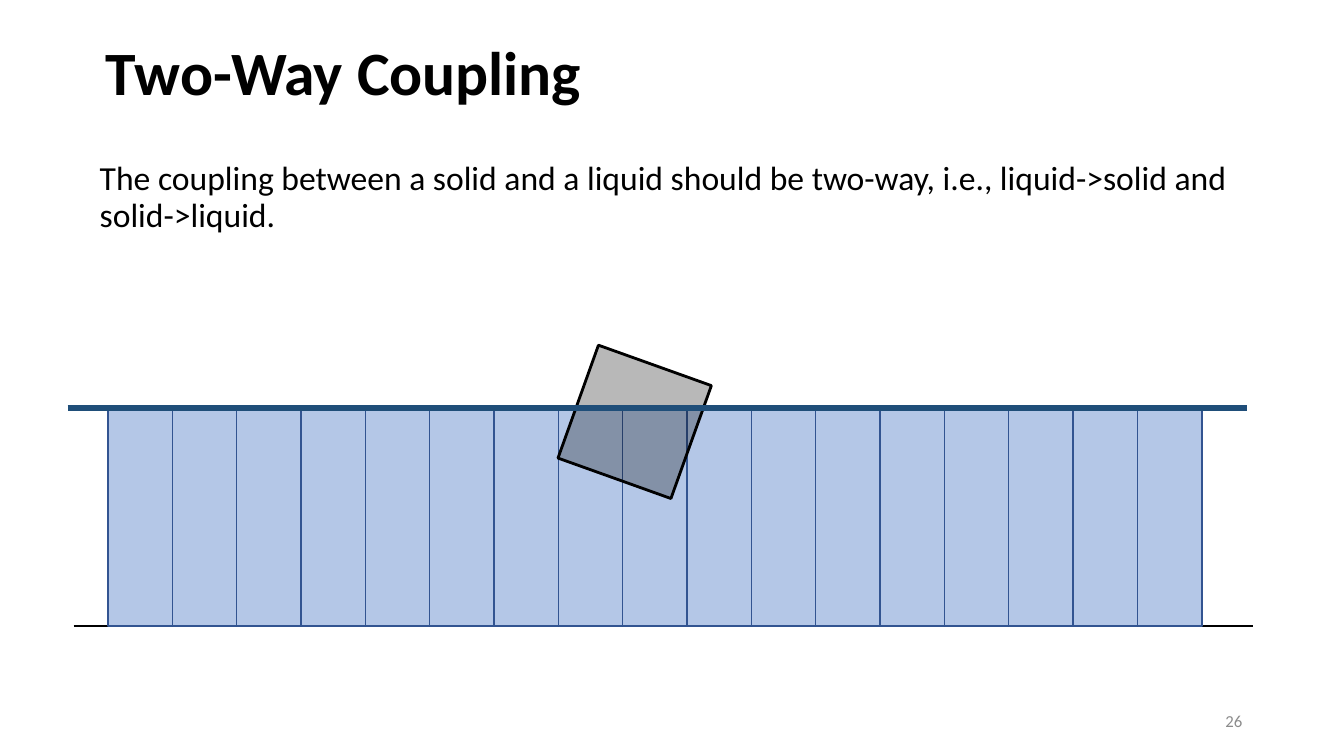
"""Build the slide on two-way coupling between a solid and a liquid."""
from lxml.etree import SubElement
from pptx import Presentation
from pptx.dml.color import RGBColor
from pptx.enum.shapes import MSO_CONNECTOR as Connector, MSO_SHAPE as Shape
from pptx.enum.text import MSO_ANCHOR as Anchor, PP_ALIGN as Align
from pptx.oxml.ns import qn
from pptx.util import Inches, Pt

TITLE = "Two-Way Coupling"
BODY = ("The coupling between a solid and a liquid should be two-way, "
        "i.e., liquid->solid and solid->liquid.")
PAGE_NUMBER = "26"
FONT = "Calibri"
COLORS = {"text": "000000", "number": "8C8C8C", "ground": "000000",
          "water": "B4C7E7", "water_edge": "325491", "surface": "1F4E79",
          "solid": "0D0D0D", "solid_edge": "000000"}

COLUMN_COUNT = 17
WATER_LEFT, WATER_WIDTH = 1.07, 10.85
SURFACE_Y, GROUND_Y = 4.05, 6.21
LINE_LENGTH = 11.7
SOLID_BOX, SOLID_ANGLE, SOLID_OPACITY = (5.7, 3.59, 1.19, 1.19), 19.7, 29


def color(name):
    return RGBColor.from_string(COLORS[name])


def write(shape, text, size, color_name, anchor, bold=False,
          align=Align.LEFT, spacing=None):
    frame = shape.text_frame
    frame.word_wrap = True
    frame.vertical_anchor = anchor
    frame.text = text
    paragraph = frame.paragraphs[0]
    paragraph.alignment = align
    paragraph.line_spacing = spacing
    font = paragraph.font
    font.name, font.size, font.bold = FONT, Pt(size), bold
    font.color.rgb = color(color_name)


def add_text(slide, box, *args, **options):
    write(slide.shapes.add_textbox(*map(Inches, box)), *args, **options)


def add_rectangle(slide, box, fill, edge, width):
    shape = slide.shapes.add_shape(Shape.RECTANGLE, *map(Inches, box))
    shape.shadow.inherit = False
    shape.fill.solid()
    shape.fill.fore_color.rgb = color(fill)
    shape.line.color.rgb = color(edge)
    shape.line.width = Pt(width)
    return shape


def add_level(slide, left, y, color_name, width):
    line = slide.shapes.add_connector(
        Connector.STRAIGHT, Inches(left), Inches(y),
        Inches(left + LINE_LENGTH), Inches(y))
    line.line.color.rgb = color(color_name)
    line.line.width = Pt(width)
    SubElement(line._element.spPr, qn("a:effectLst"))


def main():
    presentation = Presentation()
    presentation.slide_width = Inches(13.33)
    presentation.slide_height = Inches(7.5)
    slide = presentation.slides.add_slide(presentation.slide_layouts[5])

    title = slide.shapes.title
    title.left, title.top, title.width, title.height = map(
        Inches, (0.95, 0.02, 11.5, 1.45))
    write(title, TITLE, 44, "text", Anchor.MIDDLE, bold=True, spacing=0.9)
    add_text(slide, (9.42, 6.95, 3, 0.4), PAGE_NUMBER, 12, "number",
             Anchor.MIDDLE, align=Align.RIGHT)
    add_text(slide, (0.89, 1.38, 11.85, 1.17), BODY, 24, "text",
             Anchor.MIDDLE, spacing=0.9)

    add_level(slide, 0.73, GROUND_Y, "ground", 1)
    column_width = WATER_WIDTH / COLUMN_COUNT
    for index in range(COLUMN_COUNT):
        left = WATER_LEFT + index * column_width
        box = (left, SURFACE_Y, column_width, GROUND_Y - SURFACE_Y)
        add_rectangle(slide, box, "water", "water_edge", 1)

    solid = add_rectangle(slide, SOLID_BOX, "solid", "solid_edge", 2)
    solid.rotation = SOLID_ANGLE
    fill_color = solid._element.spPr.find(qn("a:solidFill")).find(qn("a:srgbClr"))
    SubElement(fill_color, qn("a:alpha"), val=str(SOLID_OPACITY * 1000))
    add_level(slide, 0.67, SURFACE_Y, "surface", 4)

    presentation.save("out.pptx")


if __name__ == "__main__":
    main()
